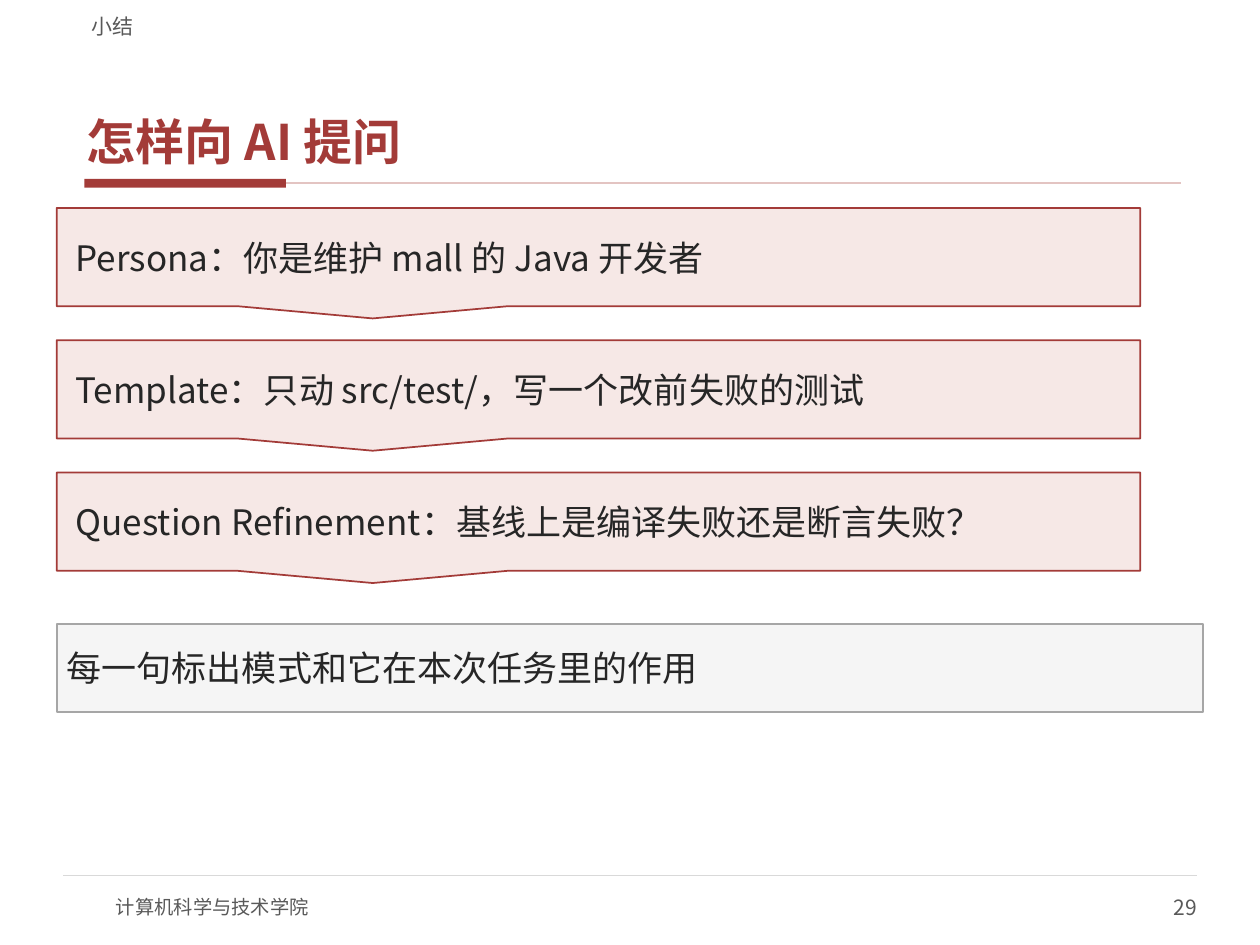
from lxml.etree import SubElement
from pptx import Presentation
from pptx.dml.color import RGBColor
from pptx.enum.shapes import MSO_CONNECTOR, MSO_SHAPE
from pptx.enum.text import MSO_ANCHOR as ANCHOR, PP_ALIGN as ALIGN
from pptx.oxml.ns import qn
from pptx.util import Pt

FONT = "Noto Sans CJK SC"
RED = RGBColor(0xA3, 0x3B, 0x38)
ROSE = RGBColor(0xE3, 0xC4, 0xC2)
PINK = RGBColor(0xF6, 0xE8, 0xE6)
INK = RGBColor(0x26, 0x26, 0x26)
GREY = RGBColor(0x59, 0x59, 0x59)
MID_GREY = RGBColor(0xA6, 0xA6, 0xA6)
RULE_GREY = RGBColor(0xD9, 0xD9, 0xD9)
PALE_GREY = RGBColor(0xF5, 0xF5, 0xF5)

PROMPTS = [
    "Persona：你是维护 mall 的 Java 开发者",
    "Template：只动 src/test/，写一个改前失败的测试",
    "Question Refinement：基线上是编译失败还是断言失败？",
]


def write(sp, text, size, color, anchor=ANCHOR.MIDDLE, align=ALIGN.LEFT,
          inset=(0, 0), bold=False, spacing=None):
    """Write one formatted paragraph into a shape."""
    tf = sp.text_frame
    x, y = (Pt(v) for v in inset)
    frame = {"word_wrap": True, "vertical_anchor": anchor, "margin_left": x,
             "margin_right": x, "margin_top": y, "margin_bottom": y}
    for name, value in frame.items():
        setattr(tf, name, value)
    p = tf.paragraphs[0]
    p.alignment = align
    p.line_spacing = spacing
    r = p.add_run()
    r.text = text
    for name, value in {"name": FONT, "size": Pt(size), "bold": bold}.items():
        setattr(r.font, name, value)
    r.font.color.rgb = color
    SubElement(r.font._element, qn("a:ea")).set("typeface", FONT)


def add_text(s, box, text, size, color, **style):
    """Add a text box."""
    sp = s.shapes.add_textbox(*(Pt(v) for v in box))
    write(sp, text, size, color, **style)


def add_panel(s, kind, box, fill, line=None):
    """Add a filled shape, outlined when a line colour is given."""
    sp = s.shapes.add_shape(kind, *(Pt(v) for v in box))
    sp.shadow.inherit = False
    sp.fill.solid()
    sp.fill.fore_color.rgb = fill
    if line is None:
        sp.line.fill.background()
    else:
        sp.line.color.rgb = line
        sp.line.width = Pt(1)
    return sp


def add_rule(s, left, right, y, color, width):
    """Add a horizontal rule."""
    line = s.shapes.add_connector(
        MSO_CONNECTOR.STRAIGHT, Pt(left), Pt(y), Pt(right), Pt(y))
    line.line.color.rgb = color
    line.line.width = Pt(width)
    SubElement(line._element.spPr, qn("a:effectLst"))


def add_header(s, box, section, title):
    """Place the section label, the title and the two-part underline."""
    left, top, width, height = box
    label_h, gap, bar_w, bar_h = 19.44, 1.5, 115.2, 5.04
    bar_x, bar_y = left + 2.88, top + height - bar_h
    title_y = top + label_h + gap
    add_panel(s, MSO_SHAPE.RECTANGLE, (bar_x, bar_y, bar_w, bar_h), RED)
    add_rule(s, bar_x + bar_w, left + width - 0.72, bar_y + bar_h / 2, ROSE, 1)
    add_text(s, (left, title_y, width, 75.6), title, 28, RED,
             anchor=ANCHOR.BOTTOM, inset=(4.32, 1.44), bold=True, spacing=0.9)
    add_text(s, (left, top, width, label_h), section, 12, GREY,
             anchor=ANCHOR.BOTTOM, inset=(7.2, 0))


def add_prompts(s, box, prompts):
    """Stack equally spaced callouts, one for each prompt."""
    left, top, width, height = box
    callout_h = 56.16
    pitch = (height - callout_h) / (len(prompts) - 1)
    for i, prompt in enumerate(prompts):
        sp = add_panel(s, MSO_SHAPE.RECTANGULAR_CALLOUT,
                       (left, top + i * pitch, width, callout_h), PINK, RED)
        write(sp, prompt, 20, INK, inset=(10.8, 5.04))


def add_takeaway(s, box, text):
    """Place the grey closing box."""
    sp = add_panel(s, MSO_SHAPE.RECTANGLE, box, PALE_GREY, MID_GREY)
    write(sp, text, 20, INK, inset=(5.76, 2.88))


def add_footer(s, box, school, number):
    """Place the footer rule, the school and the page number."""
    left, top, width, height = box
    text_h = 28.8
    y, right = top + height - text_h, left + width
    add_rule(s, left, right, top, RULE_GREY, 0.75)
    add_text(s, (left + 30.24, y, 288, text_h), school, 11, GREY)
    add_text(s, (right - 144, y, 144, text_h), number, 12, GREY,
             align=ALIGN.RIGHT)


def main():
    """Build the slide and save it."""
    prs = Presentation()
    prs.slide_width, prs.slide_height = Pt(720), Pt(540)
    s = prs.slides.add_slide(prs.slide_layouts[6])
    add_header(s, (45.36, 2.88, 630, 104.4), "小结", "怎样向 AI 提问")
    add_prompts(s, (32.4, 118.8, 619.2, 207.36), PROMPTS)
    add_takeaway(s, (32.4, 356.4, 655.2, 50.4), "每一句标出模式和它在本次任务里的作用")
    add_footer(s, (36, 500.4, 648, 32.4), "计算机科学与技术学院", "29")
    prs.save("out.pptx")


if __name__ == "__main__":
    main()
